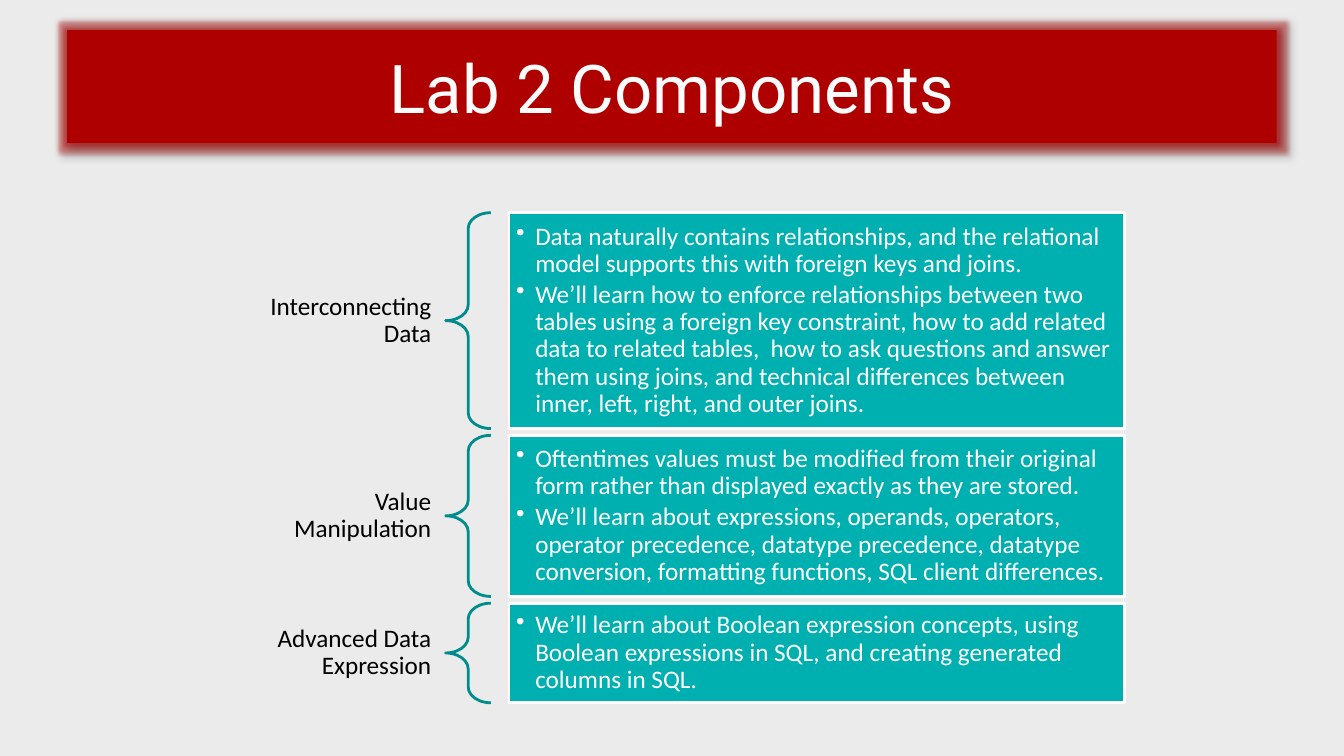
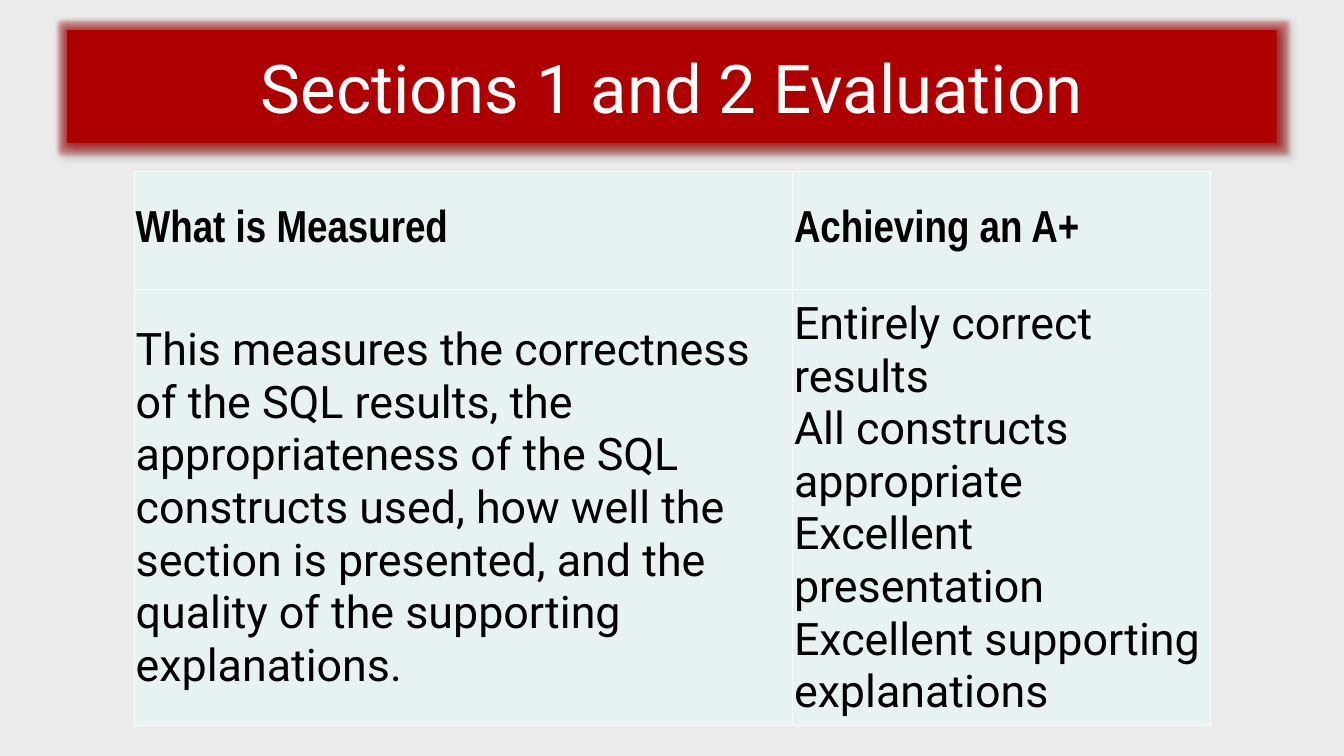
from dataclasses import dataclass

from lxml import etree
from pptx import Presentation
from pptx.dml.color import RGBColor
from pptx.enum.shapes import MSO_SHAPE
from pptx.enum.text import MSO_ANCHOR, PP_ALIGN
from pptx.oxml import parse_xml
from pptx.oxml.ns import nsdecls, qn
from pptx.util import Cm, Pt

RECTANGLE = MSO_SHAPE.RECTANGLE
LEFT_BRACE = MSO_SHAPE.LEFT_BRACE
MIDDLE = MSO_ANCHOR.MIDDLE
LEFT, CENTER, RIGHT = PP_ALIGN.LEFT, PP_ALIGN.CENTER, PP_ALIGN.RIGHT


@dataclass(frozen=True)
class Theme:
    background: str = "EBEBEB"
    banner: str = "AF0000"
    title: str = "FEFCFC"
    white: str = "FFFFFF"
    black: str = "000000"
    box: str = "00AFAF"
    brace: str = "008C8C"
    cell: str = "E7F2F2"
    title_font: str = "Roboto"
    list_font: str = "Calibri"
    header_font: str = "Arial Narrow"
    title_size: int = 48
    list_size: int = 18
    table_size: int = 32


THEME = Theme()
SLIDE_WIDTH, SLIDE_HEIGHT = 33.87, 19.05

COMPONENTS = [
    ("Interconnecting Data", 5.44, [
        "Data naturally contains relationships, and the relational model "
        "supports this with foreign keys and joins.",
        "We’ll learn how to enforce relationships between two tables using a "
        "foreign key constraint, how to add related data to related tables,  "
        "how to ask questions and answer them using joins, and technical "
        "differences between inner, left, right, and outer joins.",
    ]),
    ("Value Manipulation", 4.06, [
        "Oftentimes values must be modified from their original form rather "
        "than displayed exactly as they are stored.",
        "We’ll learn about expressions, operands, operators, operator "
        "precedence, datatype precedence, datatype conversion, formatting "
        "functions, SQL client differences.",
    ]),
    ("Advanced Data Expression", 2.51, [
        "We’ll learn about Boolean expression concepts, using Boolean "
        "expressions in SQL, and creating generated columns in SQL.",
    ]),
]

EVALUATION = [
    ["What is Measured", "Achieving an A+"],
    [
        "This measures the correctness of the SQL results, the "
        "appropriateness of the SQL constructs used, how well the section is "
        "presented, and the quality of the supporting explanations.",
        "Entirely correct results\nAll constructs appropriate\n"
        "Excellent presentation\nExcellent supporting explanations",
    ],
]


def rgb(color):
    return RGBColor.from_string(color)


def apply(target, formats):
    for name, value in formats.items():
        setattr(target, name, value)


def set_margins(target, left, top, right, bottom):
    apply(target, {"margin_left": Cm(left), "margin_top": Cm(top),
                   "margin_right": Cm(right), "margin_bottom": Cm(bottom)})


def write(para, text, font, size, color, bold=False, **formats):
    para.text = text
    apply(para, formats)
    for span in para.runs:
        apply(span.font, {"name": font, "size": Pt(size), "bold": bold})
        span.font.color.rgb = rgb(color)


def add_plain_shape(page, kind, place, fill=None, line=None):
    shape = page.shapes.add_shape(kind, *map(Cm, place))
    shape.shadow.inherit = False
    if fill:
        shape.fill.solid()
        shape.fill.fore_color.rgb = rgb(fill)
    else:
        shape.fill.background()
    if line:
        shape.line.color.rgb = rgb(line)
        shape.line.width = Pt(2)
    else:
        shape.line.fill.background()
    return shape


def add_bullet(para):
    props = para._p.get_or_add_pPr()
    props.set("marL", str(Cm(0.48)))
    props.set("indent", str(-Cm(0.48)))
    etree.SubElement(props, qn("a:buChar")).set("char", "•")


def line_xml(tag, color, width):
    return parse_xml(
        f'<a:{tag} {nsdecls("a")} w="{Pt(width)}"><a:solidFill>'
        f'<a:srgbClr val="{color}"/></a:solidFill></a:{tag}>')


def add_banner_effects(banner):
    """Give the banner its red glow and soft shadow."""
    effects = banner._element.spPr.find(qn("a:effectLst"))
    glow = (f'<a:glow {nsdecls("a")} rad="{Pt(5)}">'
            f'<a:srgbClr val="{THEME.banner}"><a:alpha val="40000"/>'
            '</a:srgbClr></a:glow>')
    shadow = (f'<a:outerShdw {nsdecls("a")} blurRad="{Pt(4)}" '
              f'dist="{Pt(3)}" dir="2700000" rotWithShape="0">'
              f'<a:srgbClr val="{THEME.black}"><a:alpha val="40000"/>'
              '</a:srgbClr></a:outerShdw>')
    for effect in (glow, shadow):
        effects.append(parse_xml(effect))


def add_page(deck, title):
    page = deck.slides.add_slide(deck.slide_layouts[6])
    width = 30.48
    place = ((SLIDE_WIDTH - width) / 2, 0.76, width, 2.84)
    banner = add_plain_shape(page, RECTANGLE, place, THEME.banner)
    add_banner_effects(banner)
    apply(banner.text_frame, {"word_wrap": False, "vertical_anchor": MIDDLE})
    para = banner.text_frame.paragraphs[0]
    write(para, title, THEME.title_font, THEME.title_size, THEME.title,
          alignment=CENTER)
    outline = line_xml("ln", THEME.white, 0.75)
    para.runs[0].font._element.insert(0, outline)
    return page


def add_label(page, text, middle):
    height = 1.68
    box = page.shapes.add_textbox(Cm(5.51), Cm(middle - height / 2),
                                  Cm(5.72), Cm(height))
    frame = box.text_frame
    apply(frame, {"word_wrap": True, "vertical_anchor": MIDDLE})
    set_margins(frame, 0.36, 0.13, 0.36, 0.13)
    write(frame.paragraphs[0], text, THEME.list_font, THEME.list_size,
          THEME.black, alignment=RIGHT, line_spacing=0.9)


def add_bullet_box(page, points, top, height):
    box = add_plain_shape(page, RECTANGLE, (12.83, top, 15.52, height),
                          THEME.box, THEME.white)
    frame = box.text_frame
    apply(frame, {"word_wrap": True, "vertical_anchor": MIDDLE})
    set_margins(frame, 0.18, 0.18, 0.18, 0.18)
    for index, point in enumerate(points):
        para = frame.add_paragraph() if index else frame.paragraphs[0]
        write(para, point, THEME.list_font, THEME.list_size, THEME.white,
              alignment=LEFT, line_spacing=0.9, space_after=Pt(2.7))
        add_bullet(para)


def add_components(page):
    top, gap = 5.36, 0.17
    for label, height, points in COMPONENTS:
        add_label(page, label, top + height / 2)
        brace = add_plain_shape(page, LEFT_BRACE, (11.23, top, 1.14, height),
                                line=THEME.brace)
        brace.adjustments[0] = 0.35
        add_bullet_box(page, points, top, height)
        top += height + gap


def add_cell_borders(cell):
    props = cell._tc.get_or_add_tcPr()
    for index, tag in enumerate(("lnL", "lnR", "lnT", "lnB")):
        props.insert(index, line_xml(tag, THEME.white, 1))


def add_evaluation(page):
    widths, heights = (16.59, 10.52), (2.97, 11)
    table = page.shapes.add_table(
        len(heights), len(widths), Cm(3.39), Cm(4.32),
        Cm(sum(widths)), Cm(sum(heights))).table
    for column, width in zip(table.columns, widths):
        column.width = Cm(width)
    for row, height, texts in zip(table.rows, heights, EVALUATION):
        row.height = Cm(height)
        header = texts is EVALUATION[0]
        font = THEME.header_font if header else THEME.title_font
        for cell, text in zip(row.cells, texts):
            cell.fill.solid()
            cell.fill.fore_color.rgb = rgb(THEME.cell)
            cell.vertical_anchor = MIDDLE
            set_margins(cell, 0.03, 0.03, 0.03, 0)
            add_cell_borders(cell)
            write(cell.text_frame.paragraphs[0], text, font,
                  THEME.table_size, THEME.black, bold=header)


def main():
    deck = Presentation()
    apply(deck, {"slide_width": Cm(SLIDE_WIDTH),
                 "slide_height": Cm(SLIDE_HEIGHT)})
    backdrop = deck.slide_master.background.fill
    backdrop.solid()
    backdrop.fore_color.rgb = rgb(THEME.background)
    add_components(add_page(deck, "Lab 2 Components"))
    add_evaluation(add_page(deck, "Sections 1 and 2 Evaluation"))
    deck.save("out.pptx")


if __name__ == "__main__":
    main()
